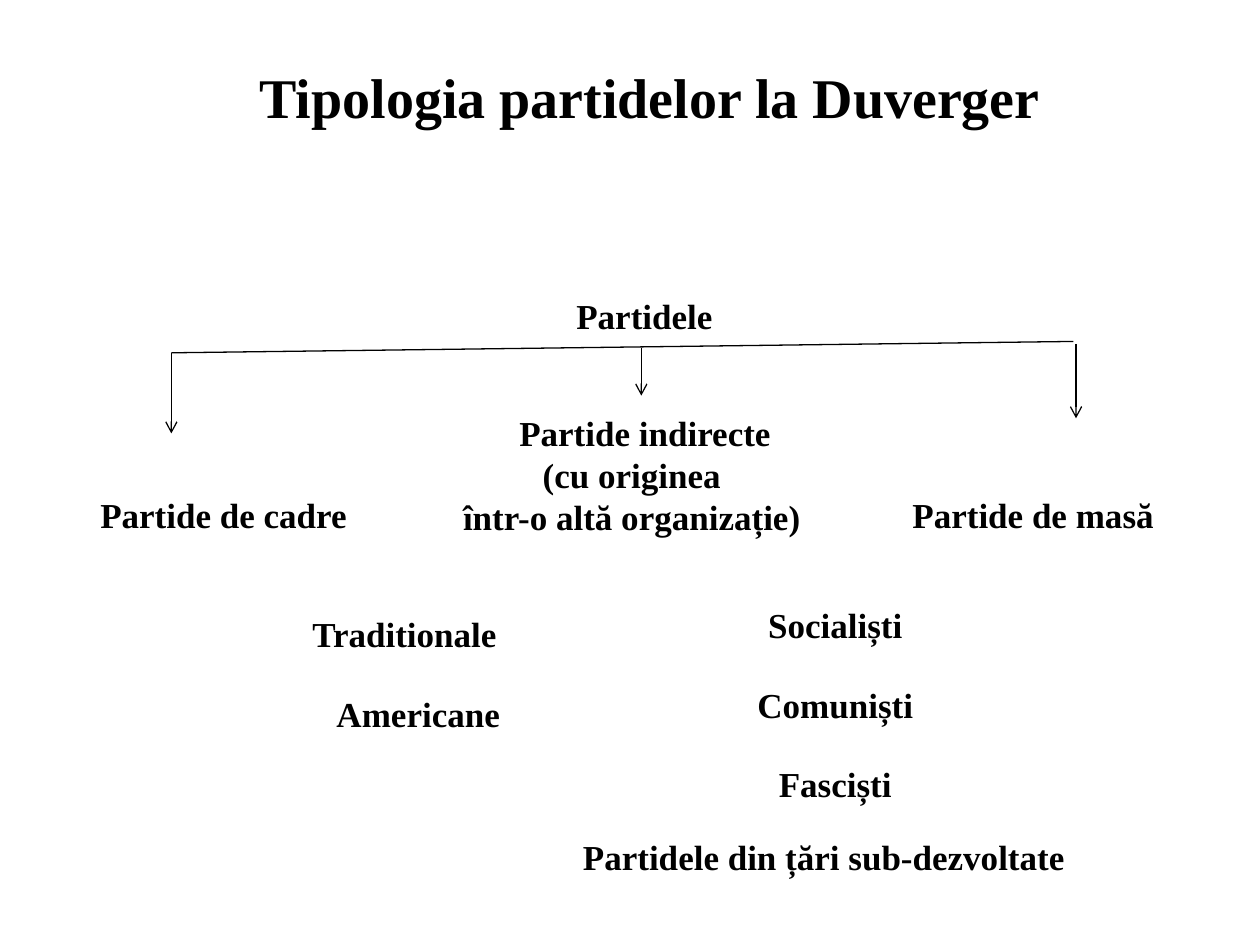
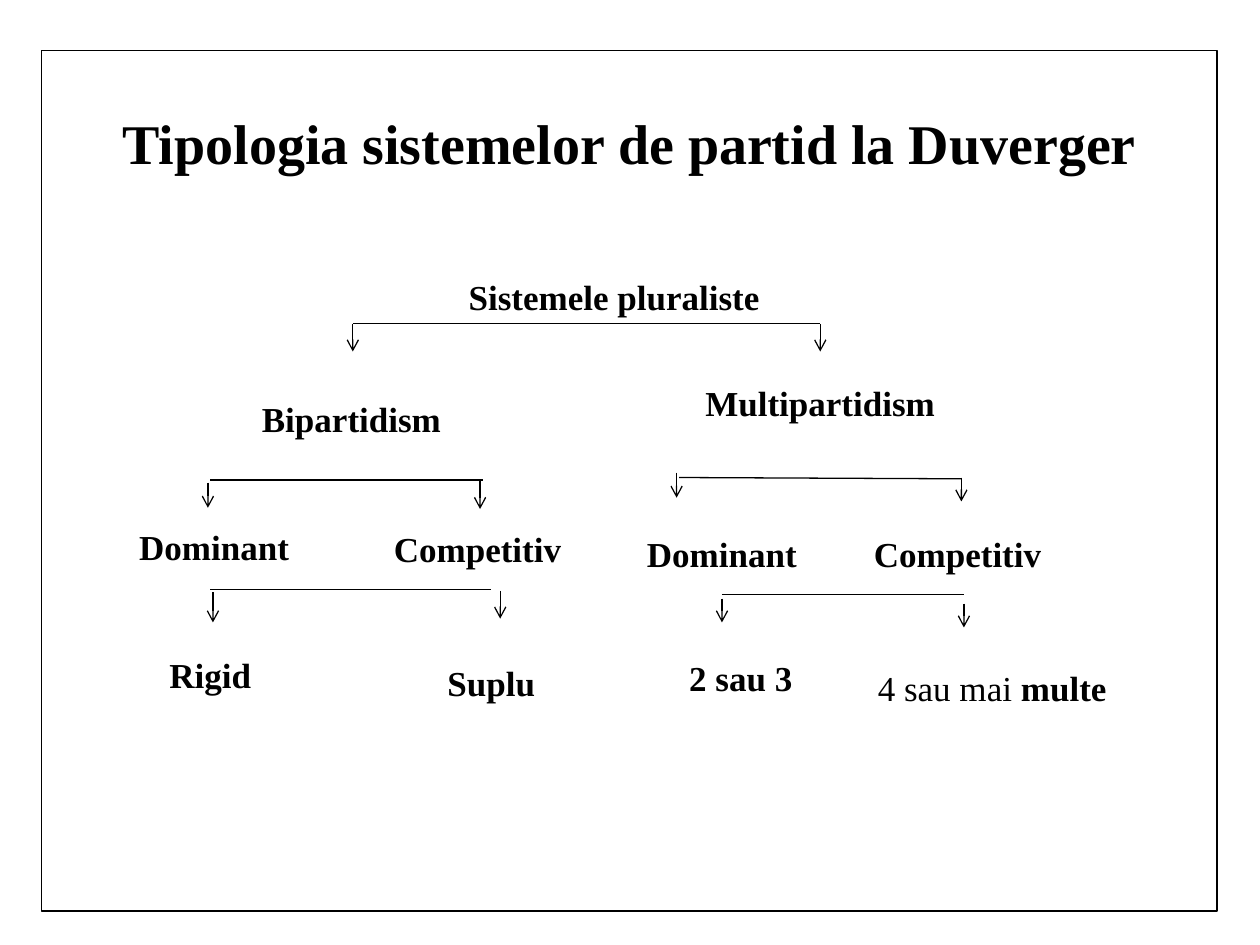
"""Build two slides on the Duverger typologies of parties and party systems."""
from dataclasses import dataclass

from lxml import etree
from pptx import Presentation
from pptx.dml.color import RGBColor
from pptx.enum.shapes import MSO_CONNECTOR, MSO_SHAPE
from pptx.enum.text import MSO_ANCHOR, MSO_AUTO_SIZE, PP_ALIGN
from pptx.oxml.ns import qn
from pptx.shapes.autoshape import Shape
from pptx.slide import Slide
from pptx.text.text import TextFrame
from pptx.util import Inches, Pt

COLORS = {"ink": "000000", "paper": "FFFFFF"}
FONT = "Times New Roman"
TITLE_SIZE, LABEL_SIZE = 32, 20
LINE_WIDTH = 0.74
TITLE_ONLY = 5
RECT, ROUNDED = MSO_SHAPE.RECTANGLE, MSO_SHAPE.ROUNDED_RECTANGLE
STRAIGHT = MSO_CONNECTOR.STRAIGHT
MIDDLE = MSO_ANCHOR.MIDDLE
CENTER = PP_ALIGN.CENTER
NO_AUTOFIT = MSO_AUTO_SIZE.NONE

Box = tuple[float, float, float, float]
Point = tuple[float, float]


@dataclass(frozen=True)
class Words:
    text: str
    bold: bool = True


@dataclass(frozen=True)
class Paragraph:
    words: tuple[Words, ...]
    right_margin: float = 0


@dataclass(frozen=True)
class Label:
    box: Box
    paragraphs: tuple[Paragraph, ...]
    filled: bool = False
    bottom_inset: float = 0


@dataclass(frozen=True)
class Arrow:
    x: float
    top: float
    bottom: float


@dataclass(frozen=True)
class Fork:
    start: Point
    end: Point
    arrows: tuple[Arrow, ...]


@dataclass(frozen=True)
class LabelStyle:
    shape: MSO_SHAPE
    outline: float
    side_inset: float
    top_inset: float


def color(key: str) -> RGBColor:
    return RGBColor.from_string(COLORS[key])


def line_of(text: str) -> tuple[Paragraph, ...]:
    return (Paragraph((Words(text),)),)


def write(frame: TextFrame, paragraphs: tuple[Paragraph, ...], size: int) -> None:
    frame.vertical_anchor = MIDDLE
    for index, content in enumerate(paragraphs):
        paragraph = frame.add_paragraph() if index else frame.paragraphs[0]
        paragraph.alignment = CENTER
        if content.right_margin:
            margin = Inches(content.right_margin)
            paragraph._p.get_or_add_pPr().set("marR", str(margin))
        for words in content.words:
            run = paragraph.add_run()
            run.text = words.text
            run.font.name = FONT
            run.font.size = Pt(size)
            run.font.bold = words.bold
            run.font.color.rgb = color("ink")


def add_titled_slide(deck: Presentation, title: str, box: Box) -> Slide:
    slide = deck.slides.add_slide(deck.slide_layouts[TITLE_ONLY])
    heading = slide.shapes.title
    heading.left, heading.top, heading.width, heading.height = map(Inches, box)
    heading.text_frame.word_wrap = True
    heading.text_frame.auto_size = NO_AUTOFIT
    write(heading.text_frame, line_of(title), TITLE_SIZE)
    return slide


def add_panel(slide: Slide, kind: MSO_SHAPE, box: Box, filled: bool,
              outline: str, width: float) -> Shape:
    panel = slide.shapes.add_shape(kind, *map(Inches, box))
    panel.shadow.inherit = False
    if filled:
        panel.fill.solid()
        panel.fill.fore_color.rgb = color("paper")
    else:
        panel.fill.background()
    panel.line.color.rgb = color(outline)
    panel.line.width = Pt(width)
    return panel


def add_label(slide: Slide, label: Label, style: LabelStyle) -> None:
    panel = add_panel(slide, style.shape, label.box, label.filled, "paper", style.outline)
    frame = panel.text_frame
    frame.word_wrap = False
    frame.margin_left = frame.margin_right = Inches(style.side_inset)
    frame.margin_top = Inches(style.top_inset)
    frame.margin_bottom = Inches(label.bottom_inset or style.top_inset)
    write(frame, label.paragraphs, LABEL_SIZE)


def add_line(slide: Slide, start: Point, end: Point, arrowhead: bool = False) -> None:
    connector = slide.shapes.add_connector(STRAIGHT, *map(Inches, start + end))
    connector.line.color.rgb = color("ink")
    connector.line.width = Pt(LINE_WIDTH)
    if arrowhead:
        etree.SubElement(connector.line._get_or_add_ln(), qn("a:tailEnd"), type="arrow")
    etree.SubElement(connector._element.spPr, qn("a:effectLst"))


def add_tree(slide: Slide, labels: tuple[Label, ...], forks: tuple[Fork, ...],
             style: LabelStyle) -> None:
    for label in labels:
        add_label(slide, label, style)
    for fork in forks:
        add_line(slide, fork.start, fork.end)
        for arrow in fork.arrows:
            add_line(slide, (arrow.x, arrow.top), (arrow.x, arrow.bottom), True)


def add_frame(slide: Slide, box: Box) -> None:
    frame = add_panel(slide, RECT, box, True, "ink", LINE_WIDTH)
    slide.shapes._spTree.insert(2, frame._element)


PARTY_STYLE = LabelStyle(ROUNDED, 3, 0.01, 0)
INDIRECT = (
    Paragraph((Words("Partide indirecte"),)),
    Paragraph((Words("(cu originea"),), right_margin=0.21),
    Paragraph((Words("într-o altă organizație)"),)),
)
PARTY_LABELS = (
    Label((4.29, 2.18, 1.65, 0.65), line_of("Partidele"), True),
    Label((0.67, 3.81, 2.21, 0.55), line_of("Partide de cadre"), True),
    Label((3.35, 3.2, 3.54, 1.44), INDIRECT, True, bottom_inset=0.31),
    Label((7.21, 3.81, 2.05, 0.55), line_of("Partide de masă "), True),
    Label((1.77, 4.77, 2.95, 0.52), line_of("Traditionale ")),
    Label((1.85, 5.4, 2.94, 0.52), line_of("Americane")),
    *(Label((5.16, 4.7 + 0.63 * row, 2.94, 0.52), line_of(name))
      for row, name in enumerate(("Socialiști", "Comuniști", "Fasciști"))),
    Label((4.69, 6.51, 3.7, 0.58), line_of("Partidele din țări sub-dezvoltate")),
)
PARTY_FORKS = (
    Fork((1.36, 2.8), (8.52, 2.71),
         (Arrow(1.36, 2.8, 3.44), Arrow(5.09, 2.76, 3.14), Arrow(8.54, 2.73, 3.32))),
)

SYSTEM_STYLE = LabelStyle(RECT, 4, 0.1, 0.05)
NODE_WIDTH, NODE_HEIGHT = 1.7, 0.63
SYSTEM_NODES = (
    (1.94, 3.01, "Bipartidism"),
    (0.85, 4.02, "Dominant"),
    (2.94, 4.04, "Competitiv"),
    (0.82, 5.04, "Rigid"),
    (3.05, 5.1, "Suplu"),
    (4.88, 4.08, "Dominant"),
    (6.75, 4.08, "Competitiv"),
    (5.03, 5.06, "2 sau 3"),
)
MANY_PARTIES = (Paragraph((Words("4 sau mai ", False), Words("multe "))),)
SYSTEM_LABELS = (
    Label((3.79, 2.04, 2.17, NODE_HEIGHT), line_of("Sistemele pluraliste"), True),
    Label((5.44, 2.7, 2.14, 0.99), line_of("Multipartidism")),
    *(Label((left, top, NODE_WIDTH, NODE_HEIGHT), line_of(name))
      for left, top, name in SYSTEM_NODES),
    Label((7.06, 5.14, NODE_WIDTH, NODE_HEIGHT), MANY_PARTIES),
)
SYSTEM_FORKS = (
    Fork((2.8, 2.57), (6.51, 2.57), (Arrow(2.8, 2.57, 2.79), Arrow(6.51, 2.57, 2.79))),
    Fork((1.67, 3.81), (3.83, 3.81), (Arrow(1.65, 3.83, 4.03), Arrow(3.81, 3.82, 4.04))),
    Fork((5.39, 3.79), (7.63, 3.8), (Arrow(5.37, 3.75, 3.95), Arrow(7.63, 3.79, 3.98))),
    Fork((1.67, 4.68), (3.9, 4.68), (Arrow(1.69, 4.7, 4.94), Arrow(3.97, 4.69, 4.91))),
    Fork((5.73, 4.72), (7.65, 4.72), (Arrow(5.73, 4.75, 4.94), Arrow(7.65, 4.79, 4.98))),
)


def main() -> None:
    deck = Presentation()
    deck.slide_width, deck.slide_height = Inches(10), Inches(7.5)

    parties = add_titled_slide(
        deck, "Tipologia partidelor la Duverger", (0.59, 0.44, 9.14, 0.64))
    add_tree(parties, PARTY_LABELS, PARTY_FORKS, PARTY_STYLE)

    systems = add_titled_slide(
        deck, "Tipologia sistemelor de partid la Duverger", (0.5, 0.67, 9, 0.92))
    add_frame(systems, (0.33, 0.4, 9.33, 6.83))
    add_tree(systems, SYSTEM_LABELS, SYSTEM_FORKS, SYSTEM_STYLE)

    deck.save("out.pptx")


main()
